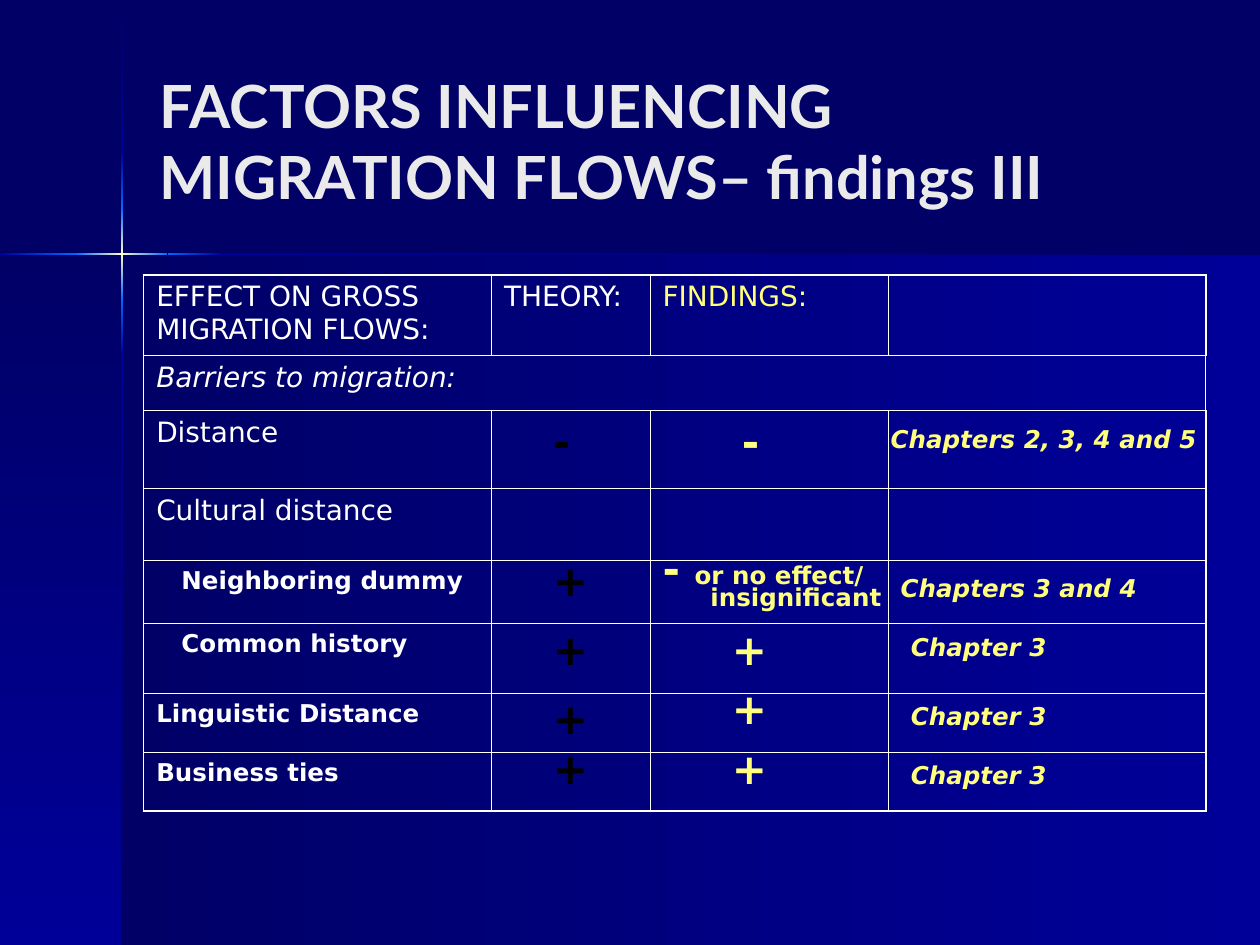
import copy
from itertools import accumulate

import pptx
import pptx.dml.color
import pptx.enum.shapes
import pptx.enum.text
import pptx.oxml
import pptx.oxml.ns
import pptx.util

Inches, Pt = pptx.util.Inches, pptx.util.Pt
SLIDE_W, SLIDE_H = 10, 7.5
BEAM = 0.02
COLORS = {"dark": "000066", "navy": "000099", "bright": "0066FF", "cream": "FFFFCC",
          "title": "EAEAEA", "white": "FFFFFF", "yellow": "FFFF7D", "black": "000000"}

TITLE = {"name": "Lato", "size": Pt(34), "bold": True}
HEAD = {"name": "DejaVu Sans", "size": Pt(16)}
GROUP = {**HEAD, "italic": True}
ITEM = {"name": "DejaVu Sans", "size": Pt(14), "bold": True}
CHAPTER = {**ITEM, "italic": True}
SIGN = {**ITEM, "size": Pt(24)}

COL_W = [2.76, 1.26, 1.89, 2.52]
ROW_H = [0.64, 0.44, 0.62, 0.57, 0.5, 0.55, 0.47, 0.47]
HEADERS = [("EFFECT ON GROSS MIGRATION FLOWS:", "white"), ("THEORY:", "white"),
           ("FINDINGS:", "yellow")]
# Label, format, indent in inches
LABELS = [("Barriers to migration:", GROUP, 0), ("Distance", HEAD, 0),
          ("Cultural distance", HEAD, 0), ("Neighboring dummy", ITEM, 0.2),
          ("Common history", ITEM, 0.2), ("Linguistic Distance", ITEM, 0),
          ("Business ties", ITEM, 0)]
# Row, offset in the cell, text
THEORY = [(2, 0.39, 0.1, "-"), (4, 0.39, 0.01, "+"), (5, 0.39, 0.06, "+"),
          (6, 0.39, 0.06, "+"), (7, 0.39, -0.02, "+")]
FINDINGS = [(2, 0.63, 0.1, "-"), (5, 0.55, 0.06, "+"), (6, 0.55, -0.02, "+"),
            (7, 0.55, -0.02, "+")]
CHAPTERS = [(2, -0.08, 0.1, "Chapters 2, 3, 4 and 5"), (4, 0, 0.09, "Chapters 3 and 4"),
            (5, 0.08, 0.06, "Chapter 3"), (6, 0.08, 0.06, "Chapter 3"),
            (7, 0.08, 0.06, "Chapter 3")]


def rgb(color):
    return pptx.dml.color.RGBColor.from_string(COLORS[color])


def add_run(p, text, fmt, color):
    r = p.add_run()
    r.text = text
    for key, value in fmt.items():
        setattr(r.font, key, value)
    r.font.color.rgb = rgb(color)


def add_text(s, box, runs, color, spacing=None, hanging=0):
    """Place one paragraph, given as (text, format) runs, in a text box."""
    tf = s.shapes.add_textbox(*map(Inches, box)).text_frame
    tf.word_wrap = True
    p = tf.paragraphs[0]
    if hanging:
        p_pr = p._p.get_or_add_pPr()
        p_pr.set("marL", str(Inches(hanging)))
        p_pr.set("indent", str(-Inches(hanging)))
    if spacing:
        p.line_spacing = spacing
    for text, fmt in runs:
        add_run(p, text, fmt, color)
    return tf


def add_gradient(s, box, colors, vertical):
    """Draw a borderless bar shaded from left to right or from top to bottom."""
    sp = s.shapes.add_shape(pptx.enum.shapes.MSO_SHAPE.RECTANGLE, *map(Inches, box))
    sp.shadow.inherit = False
    sp.line.fill.background()
    sp.fill.gradient()
    sp.fill.gradient_angle = 270 if vertical else 0
    stops = sp._element.spPr.find(".//" + pptx.oxml.ns.qn("a:gsLst"))
    for _ in colors[2:]:
        stops.append(copy.deepcopy(stops[-1]))
    for i, (stop, color) in enumerate(zip(sp.fill.gradient_stops, colors)):
        stop.color.rgb = rgb(color)
        stop.position = i / (len(colors) - 1)


def add_backdrop(s, box):
    """Shade the two lower panels and draw the crossing light beams."""
    x, y, w, h = box
    cross_x, cross_y = x + 0.097 * w, y + 0.269 * h
    lower = y + h - cross_y
    add_gradient(s, (cross_x, cross_y, x + w - cross_x, lower), ["dark", "navy"], False)
    add_gradient(s, (x, cross_y, cross_x - x, lower), ["dark", "navy"], True)

    shades = [["dark", "navy"], ["navy", "bright"], ["bright", "cream", "bright"],
              ["bright", "navy"], ["navy", "dark"]]
    down = [y, y + 1.21, y + 1.65, y + 2.38, y + 2.82, y + h]
    for top, bottom, colors in zip(down, down[1:], shades):
        add_gradient(s, (cross_x - BEAM / 2, top, BEAM, bottom - top), colors, True)
    across = [x, x + 0.6, x + 1.33, x + 1.77, x + w]
    for left, right, colors in zip(across, across[1:], shades[1:]):
        add_gradient(s, (left, cross_y - BEAM / 2, right - left, BEAM), colors, False)


def add_title(s, box):
    tf = add_text(s, box, [("FACTORS INFLUENCING MIGRATION FLOWS– findings III", TITLE)],
                  "title")
    tf.vertical_anchor = pptx.enum.text.MSO_ANCHOR.MIDDLE


def set_borders(cell, outer):
    """Rule the four sides, with a heavier line on the sides named in outer."""
    for side in "LRTB":
        width = Pt(1.08 if side in outer else 0.45)
        cell._tc.get_or_add_tcPr().append(pptx.oxml.parse_xml(
            f'<a:ln{side} {pptx.oxml.ns.nsdecls("a")} w="{width}"><a:solidFill>'
            f'<a:srgbClr val="{COLORS["white"]}"/></a:solidFill></a:ln{side}>'))


def add_factor_table(s, box):
    rows, cols = len(ROW_H), len(COL_W)
    table = s.shapes.add_table(rows, cols, *map(Inches, box)).table
    table.first_row = table.horz_banding = False
    for tracks, shares, attr, length in ((table.columns, COL_W, "width", box[2]),
                                         (table.rows, ROW_H, "height", box[3])):
        for track, share in zip(tracks, shares):
            setattr(track, attr, Inches(length * share / sum(shares)))
    for i in range(rows):
        for j in range(cols):
            cell = table.cell(i, j)
            edges = {"L": j == 0, "R": j == cols - 1, "T": i == 0, "B": i == rows - 1}
            set_borders(cell, [side for side, on in edges.items() if on])
            cell.fill.background()
    table.cell(1, 0).merge(table.cell(1, cols - 1))

    for j, (text, color) in enumerate(HEADERS):
        add_run(table.cell(0, j).text_frame.paragraphs[0], text, HEAD, color)
    for i, (text, fmt, indent) in enumerate(LABELS, 1):
        cell = table.cell(i, 0)
        cell.margin_left = Inches(0.1 + indent)
        add_run(cell.text_frame.paragraphs[0], text, fmt, "white")


def add_results(s, box):
    """Lay signs and chapter references over the table's cells."""
    lefts = [box[0] + x for x in accumulate(COL_W, initial=0)]
    tops = [box[1] + y for y in accumulate(ROW_H, initial=0)]
    layers = [(1, THEORY, 0.47, 0.39, SIGN, "black", 0.7),
              (2, FINDINGS, 0.47, 0.39, SIGN, "yellow", 0.7),
              (3, CHAPTERS, 2.68, 0.31, CHAPTER, "yellow", 0.8)]
    for col, entries, w, h, fmt, color, spacing in layers:
        for row, dx, dy, text in entries:
            add_text(s, (lefts[col] + dx, tops[row] + dy, w, h), [(text, fmt)],
                     color, spacing, 0.38)
    mixed = [("- ", SIGN), ("or no effect/", ITEM), (" ", SIGN), ("insignificant", ITEM)]
    add_text(s, (lefts[2], tops[4] - 0.07, 2.05, 0.55), mixed, "yellow", 0.65, 0.38)


def main():
    prs = pptx.Presentation()
    prs.slide_width, prs.slide_height = Inches(SLIDE_W), Inches(SLIDE_H)
    s = prs.slides.add_slide(prs.slide_layouts[6])
    s.background.fill.solid()
    s.background.fill.fore_color.rgb = rgb("dark")
    add_backdrop(s, (0, 0, SLIDE_W, SLIDE_H))
    add_title(s, (1.17, 0.33, 8.25, 1.57))
    table_box = (1.14, 2.18, sum(COL_W), sum(ROW_H))
    add_factor_table(s, table_box)
    add_results(s, table_box)
    prs.save("out.pptx")


if __name__ == "__main__":
    main()
